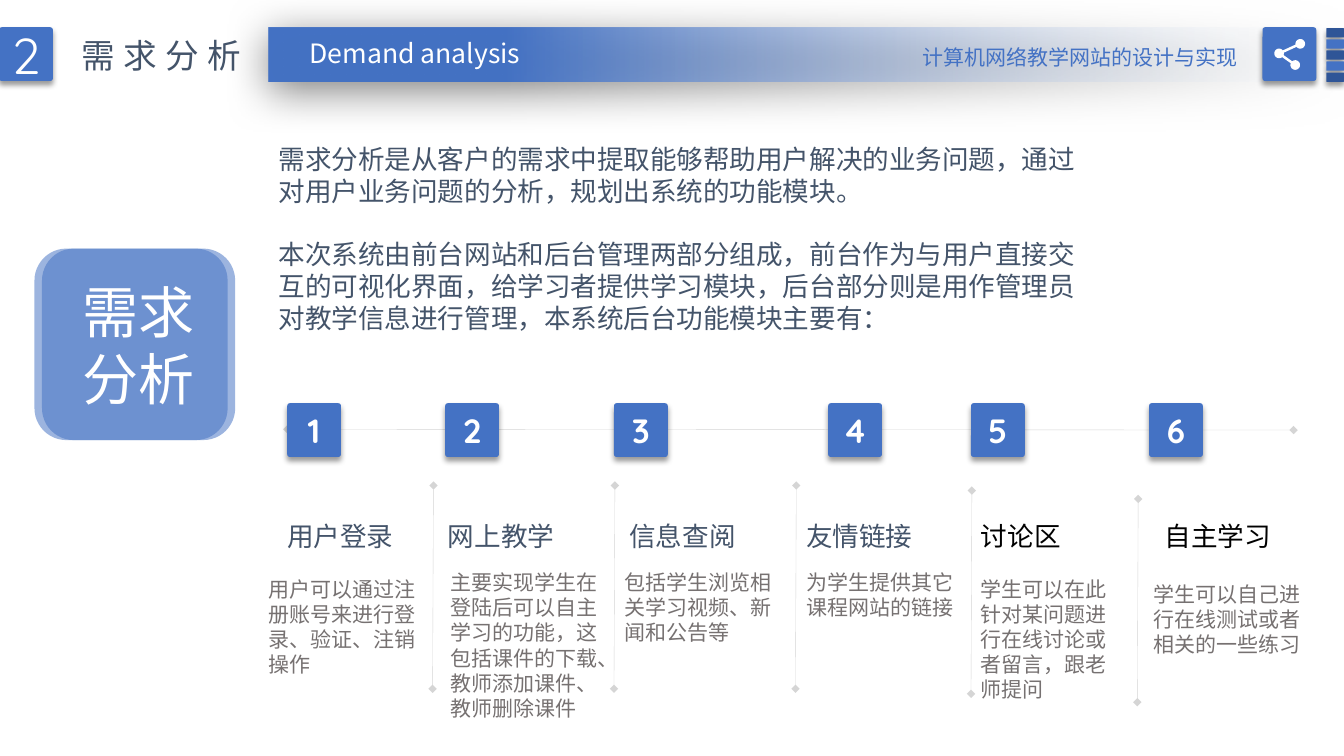
"""Build the demand analysis slide on a grid of 160 columns by 90 rows."""
from dataclasses import dataclass
from math import cos, radians, sin

from lxml.etree import SubElement
from pptx import Presentation
from pptx.dml.color import RGBColor
from pptx.enum.shapes import MSO_CONNECTOR, MSO_SHAPE
from pptx.enum.text import MSO_ANCHOR, MSO_AUTO_SIZE, PP_ALIGN
from pptx.oxml.ns import qn
from pptx.util import Inches, Pt

LEFT, MID, RIGHT = PP_ALIGN.LEFT, PP_ALIGN.CENTER, PP_ALIGN.RIGHT
TOP, MIDDLE = MSO_ANCHOR.TOP, MSO_ANCHOR.MIDDLE
RECT, ROUND = MSO_SHAPE.RECTANGLE, MSO_SHAPE.ROUNDED_RECTANGLE
STRAIGHT, FIXED = MSO_CONNECTOR.STRAIGHT, MSO_AUTO_SIZE.NONE

BLUE = RGBColor(0x44, 0x72, 0xC4)
NAVY = RGBColor(0x2F, 0x55, 0x97)
SLATE = RGBColor(0x44, 0x54, 0x6A)
STONE = RGBColor(0x76, 0x71, 0x71)
GREY = RGBColor(0x80, 0x80, 0x80)
PALE = RGBColor(0xF7, 0xFA, 0xFD)
WHITE = RGBColor(0xFF, 0xFF, 0xFF)
BLACK = RGBColor(0, 0, 0)

HAN, DIGIT, LATIN = "Noto Sans CJK SC", "Quicksand", "Roboto"
WIDTH, HEIGHT = Inches(13.33), Inches(7.5)
COLS, ROWS = 160, 90
BADGE = 6.4


@dataclass
class Box:
    """A place on the grid, in columns and rows."""
    x: float
    y: float
    w: float
    h: float

    def place(self) -> tuple[int, int, int, int]:
        """Return left, top, width and height in slide units."""
        return across(self.x), down(self.y), across(self.w), down(self.h)


@dataclass
class Style:
    """The look of a piece of text."""
    size: float
    color: RGBColor
    font: str = HAN
    align: PP_ALIGN = LEFT
    bold: bool = False
    anchor: MSO_ANCHOR = TOP
    wrap: bool = True
    gap: float = 0


@dataclass
class Shade:
    """A cast shadow: opacity, blur, distance and angle."""
    alpha: int
    blur: float
    dist: float
    angle: int


@dataclass
class Module:
    """One function of the system with its badge, heading and details."""
    badge: float
    name: str
    head: Box
    color: RGBColor
    align: PP_ALIGN
    note: str
    body: Box


SOFT, WIDE = Shade(40, 4, 3, 90), Shade(50, 31, 6, 97)
MODULES = [
    Module(34.2, "用户登录", Box(31.1, 61.3, 18.8, 5), SLATE, MID,
           "用户可以通过注册账号来进行登录、验证、注销操作", Box(30.8, 68, 20.8, 13.3)),
    Module(53, "网上教学", Box(51.6, 61.3, 16.1, 5), SLATE, MID,
           "主要实现学生在登陆后可以自主学习的功能，这包括课件的下载、教师添加课件、教师删除课件",
           Box(52.4, 67.2, 20.8, 19.3)),
    Module(73.1, "信息查阅", Box(73.2, 61.3, 16.1, 5), SLATE, MID,
           "包括学生浏览相关学习视频、新闻和公告等", Box(73.2, 67.2, 20.8, 10.3)),
    Module(98.6, "友情链接", Box(94.8, 61.3, 15.8, 5), SLATE, LEFT,
           "为学生提供其它课程网站的链接", Box(94.8, 67.2, 20.8, 7.2)),
    Module(115.6, "讨论区", Box(115.6, 61.3, 16.2, 5), BLACK, LEFT,
           "学生可以在此针对某问题进行在线讨论或者留言，跟老师提问", Box(115.6, 68, 19.3, 16.3)),
    Module(136.8, "自主学习", Box(137.5, 61.3, 17.6, 5), BLACK, LEFT,
           "学生可以自己进行在线测试或者相关的一些练习", Box(136.1, 68.6, 20.8, 10.3)),
]
SPLITS = [(51.6, 57.8), (73.2, 57.8), (94.8, 57.8), (115.7, 58.4), (135.5, 59.4)]
ARCS = [(154.8, 5.22, 171, 501), (152.28, 6.36, -9, 21),
        (154.2, 7.74, 231, 561), (152.28, 6.36, 51, 321)]
INTRO = ("需求分析是从客户的需求中提取能够帮助用户解决的业务问题，通过对用户业务问题的分析，规划出系统的功能模块。\n"
         "本次系统由前台网站和后台管理两部分组成，前台作为与用户直接交互的可视化界面，"
         "给学习者提供学习模块，后台部分则是用作管理员对教学信息进行管理，本系统后台功能模块主要有：")


def across(cols: float) -> int:
    """Turn columns into slide units."""
    return round(cols * WIDTH / COLS)


def down(rows: float) -> int:
    """Turn rows into slide units."""
    return round(rows * HEIGHT / ROWS)


def fade(node, share: int) -> None:
    """Set the opacity of the first colour under a node."""
    color = next(node.iter(qn("a:srgbClr")))
    SubElement(color, qn("a:alpha"), val=str(share * 1000))


def write(frame, text: str, style: Style) -> None:
    """Fill a text frame and format it."""
    frame.text = text
    frame.auto_size, frame.word_wrap = FIXED, style.wrap
    frame.vertical_anchor = style.anchor
    for row, para in enumerate(frame.paragraphs):
        para.alignment = style.align
        para.line_spacing = Pt(style.size * 1.2)
        para.space_before = Pt(style.gap if row else 0)
        for run in para.runs:
            font = run.font
            font.name, font.size, font.bold = style.font, Pt(style.size), style.bold
            font.color.rgb = style.color
            SubElement(font._element, qn("a:ea"), typeface=HAN)


def label(slide, box: Box, text: str, style: Style) -> None:
    """Add a text box."""
    write(slide.shapes.add_textbox(*box.place()).text_frame, text, style)


def paint(shape, color: RGBColor, shade: Shade | None = None) -> None:
    """Give a shape a plain fill, no line and perhaps a shadow."""
    shape.fill.solid()
    shape.fill.fore_color.rgb = color
    shape.line.fill.background()
    shape.shadow.inherit = False
    if shade:
        cast = SubElement(shape._element.spPr.find(qn("a:effectLst")), qn("a:outerShdw"),
                          blurRad=str(Pt(shade.blur)), dist=str(Pt(shade.dist)),
                          dir=str(shade.angle * 60000), algn="t", rotWithShape="0")
        SubElement(cast, qn("a:srgbClr"), val=str(BLACK))
        fade(cast, shade.alpha)


def tile(slide, box: Box, color: RGBColor = BLUE):
    """Add a slightly rounded tile with a soft shadow."""
    shape = slide.shapes.add_shape(ROUND, *box.place())
    shape.adjustments[0] = 0.05
    paint(shape, color, SOFT)
    return shape


def link(slide, start: tuple[float, float], end: tuple[float, float]) -> None:
    """Add a faint line with a diamond at each end."""
    line = slide.shapes.add_connector(STRAIGHT, across(start[0]), down(start[1]),
                                      across(end[0]), down(end[1]))
    line.line.color.rgb, line.line.width = GREY, Pt(0.25)
    props = line._element.spPr
    edge = props.find(qn("a:ln"))
    fade(edge, 33)
    for tip in ("a:headEnd", "a:tailEnd"):
        SubElement(edge, qn(tip), type="diamond")
    SubElement(props, qn("a:effectLst"))


def share(slide) -> None:
    """Draw three joined dots as one outline."""
    dots = [(across(x + 0.57 * cos(radians(turn))), down(y + 0.57 * sin(radians(turn))))
            for x, y, start, end in ARCS for turn in range(start, end + 1, 10)]
    path = slide.shapes.build_freeform(*dots[0])
    path.add_line_segments(dots[1:], close=True)
    paint(path.convert_to_shape(), WHITE)


def header(slide) -> None:
    """Draw the top band with the title and its tiles."""
    band = slide.shapes.add_shape(RECT, *Box(32, 3.3, 128, 6.4).place())
    paint(band, BLUE, WIDE)
    band.fill.gradient()
    band.fill.gradient_angle = 180
    for stop, color, spot in zip(band.fill.gradient_stops, (PALE, BLUE), (0, 0.78)):
        stop.color.rgb, stop.position = color, spot
    fade(band._element.spPr.find(qn("a:gradFill")), 0)
    number = tile(slide, Box(-0.1, 3.24, BADGE, BADGE))
    write(number.text_frame, "2", Style(36, WHITE, DIGIT, MID, anchor=MIDDLE))
    title = slide.shapes.title
    title.left, title.top, title.width, title.height = Box(8.5, 3.5, 22.4, 6).place()
    write(title.text_frame, "需求分析", Style(24, SLATE, wrap=False))
    title.text_frame.paragraphs[0].runs[0].font._element.set("spc", "600")
    label(slide, Box(35.4, 3.8, 28, 5), "Demand analysis", Style(19, WHITE, align=MID, wrap=False))
    for row in range(5):
        tile(slide, Box(157.9, 3.36 + 1.32 * row, 2.1, 1.1), BLUE if row % 2 else NAVY)
    tile(slide, Box(150.3, 3.24, BADGE, BADGE))
    share(slide)
    label(slide, Box(104.5, 4.7, 44, 7.2), "计算机网络教学网站的设计与实现", Style(15, BLUE, LATIN, RIGHT))


def main() -> None:
    """Build and save the slide."""
    deck = Presentation()
    deck.slide_width, deck.slide_height = WIDTH, HEIGHT
    slide = deck.slides.add_slide(deck.slide_layouts[5])
    for left in (4.1, 5):
        block = slide.shapes.add_shape(ROUND, *Box(left, 29.6, 23, 22.8).place())
        paint(block, BLUE)
        fade(block._element.spPr, 53)
    write(block.text_frame, "需求分析", Style(40, WHITE, align=MID, anchor=MIDDLE))
    header(slide)
    label(slide, Box(32, 16.4, 98.4, 24.2), INTRO, Style(19, SLATE, gap=22.8))
    link(slide, (34.2, 51.1), (154, 51.2))
    for x, y in SPLITS:
        link(slide, (x, y), (x - 0.1, y + 24.2))
    for count, item in enumerate(MODULES, 1):
        badge = tile(slide, Box(item.badge, 48, BADGE, BADGE))
        write(badge.text_frame, str(count), Style(24, WHITE, DIGIT, MID, True, MIDDLE))
        label(slide, item.head, item.name, Style(19, item.color, align=item.align))
        label(slide, item.body, item.note, Style(15, STONE))
    deck.save("out.pptx")


if __name__ == "__main__":
    main()
